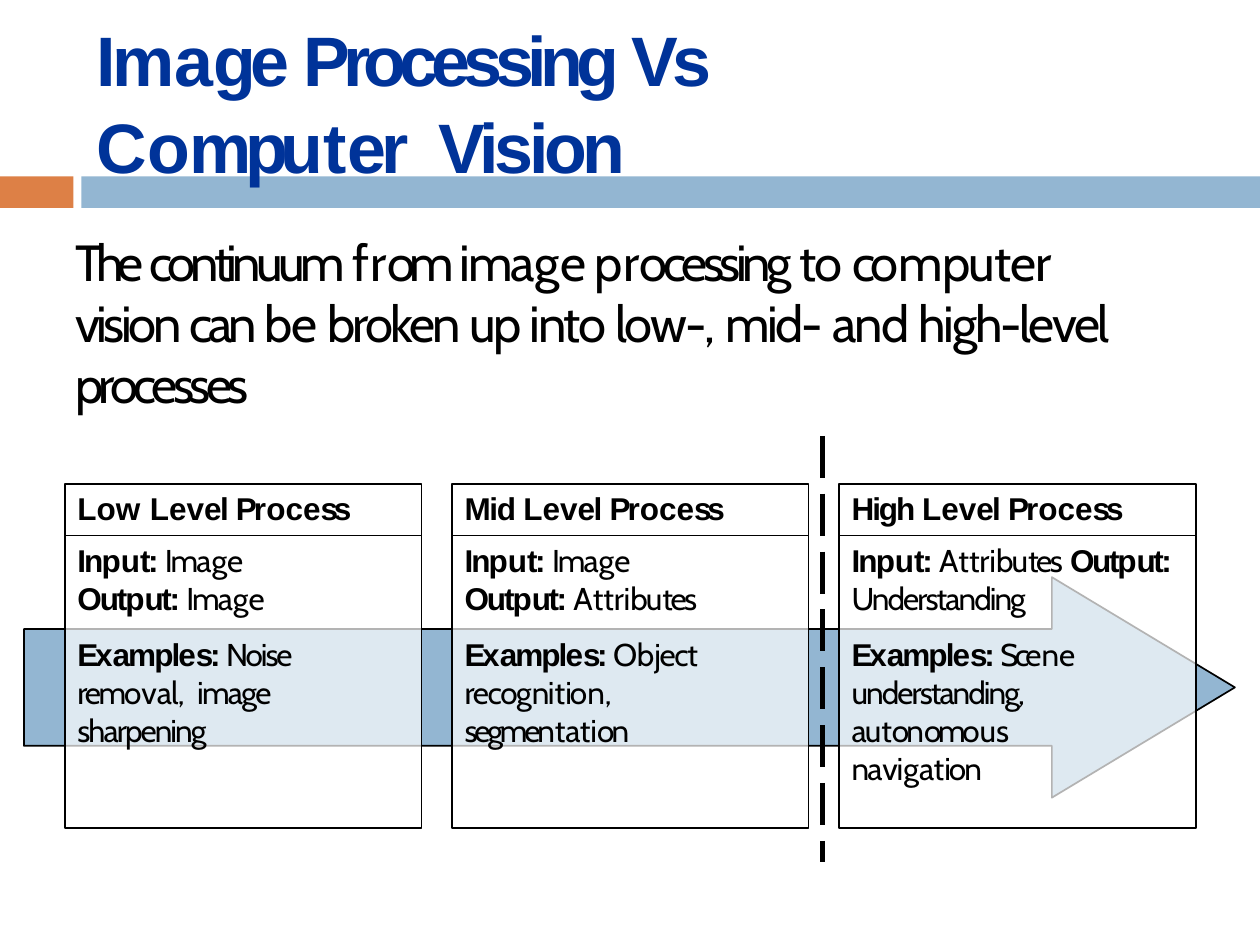
from dataclasses import dataclass

from lxml import etree
from pptx import Presentation
from pptx import util as u
from pptx.dml.color import RGBColor
from pptx.enum import dml, shapes, text
from pptx.oxml import ns

NAVY = RGBColor(0x00, 0x33, 0x99)
BLUE = RGBColor(0x93, 0xB6, 0xD2)
ORANGE = RGBColor(0xDD, 0x80, 0x46)
BLACK = RGBColor(0x00, 0x00, 0x00)
WHITE = RGBColor(0xFF, 0xFF, 0xFF)


@dataclass(frozen=True)
class Span:
    wording: str
    spacing: float
    bold: bool = False


@dataclass(frozen=True)
class Para:
    spans: list[Span]
    before: float = 0
    right: float = 0


@dataclass(frozen=True)
class Frame:
    left: float
    top: float
    width: float
    height: float


@dataclass(frozen=True)
class Process:
    heading: list[Span]
    details: list[Para]


def spans(*parts: tuple[str, float], bold: bool = False) -> list[Span]:
    return [Span(wording, spacing, bold) for wording, spacing in parts]


def lengths(frame: Frame) -> list[u.Length]:
    return [u.Pt(side) for side in (frame.left, frame.top, frame.width, frame.height)]


def fill_text(box, paras: list[Para], size: float, color: RGBColor, indent: float = 0.5) -> None:
    frame = box.text_frame
    frame.word_wrap = True
    frame.auto_size = text.MSO_AUTO_SIZE.NONE
    frame.vertical_anchor = text.MSO_ANCHOR.TOP
    frame.margin_left = u.Pt(indent)
    frame.margin_top = u.Pt(1.5)
    frame.margin_right = frame.margin_bottom = 0
    for index, item in enumerate(paras):
        para = frame.add_paragraph() if index else frame.paragraphs[0]
        para.alignment = text.PP_ALIGN.LEFT
        para.space_before = u.Pt(item.before)
        para._p.get_or_add_pPr().set("marR", str(u.Pt(item.right)))
        for part in item.spans:
            span = para.add_run()
            span.text = part.wording
            span.font.name = "Arial" if part.bold else "Cabin"
            span.font.size = u.Pt(size)
            span.font.bold = part.bold
            span.font.color.rgb = color
            span._r.get_or_add_rPr().set("spc", str(round(part.spacing * 100)))


def add_text(page, frame: Frame, paras: list[Para], size: float, indent: float = 0.5) -> None:
    box = page.shapes.add_textbox(*lengths(frame))
    fill_text(box, paras, size, BLACK, indent)


def add_block(page, kind, frame: Frame, fill: RGBColor | None = None, outlined: bool = False,
              opacity: int = 100):
    block = page.shapes.add_shape(kind, *lengths(frame))
    block.shadow.inherit = False
    if fill is None:
        block.fill.background()
    else:
        block.fill.solid()
        block.fill.fore_color.rgb = fill
        if opacity < 100:
            tint = block._element.spPr.find(".//" + ns.qn("a:srgbClr"))
            etree.SubElement(tint, ns.qn("a:alpha")).set("val", str(opacity * 1000))
    if outlined:
        block.line.color.rgb = BLACK
        block.line.width = u.Pt(0.96)
    else:
        block.line.fill.background()
    return block


def add_divider(page, x: float, top: float, bottom: float) -> None:
    line = page.shapes.add_connector(
        shapes.MSO_CONNECTOR.STRAIGHT, u.Pt(x), u.Pt(top), u.Pt(x), u.Pt(bottom))
    line.line.color.rgb = BLACK
    line.line.width = u.Pt(3)
    line.line.dash_style = dml.MSO_LINE.LONG_DASH
    etree.SubElement(line._element.spPr, ns.qn("a:effectLst"))


def add_process(page, left: float, process: Process) -> None:
    width, top, header, body = 203.7, 276.5, 29.5, 167
    rectangle = shapes.MSO_SHAPE.RECTANGLE
    add_block(page, rectangle, Frame(left, top, width, header), outlined=True)
    add_text(page, Frame(left, top + 1.5, width, 24), [Para(process.heading)], 18, 7.2)
    add_block(page, rectangle, Frame(left, top + header, width, body), WHITE, True, 70)
    add_text(page, Frame(left, top + header + 1.5, width, 121), process.details, 18, 7.2)


TITLE = spans(
    ("Im", -2), ("a", -1), ("ge ", -3.2), ("Processing ", -3.9), ("Vs ", -3.2),
    ("C", -4.8), ("o", -4), ("mpu", -3.9), ("t", -1.8), ("er", -2.5), (" ", 6),
    ("Vision", -2.5), bold=True)
INTRO = spans(
    ("The ", -3.4), ("continuum ", -2.6), ("f", 0.7), ("r", 0.3), ("om ", -3.2),
    ("ima", -1.4), ("g", -1.9), ("e ", -1.6), ("p", -0.1), ("r", -0.6),
    ("ocessing ", -2.5), ("to ", -0.9), ("co", -2.8), ("m", -4.5), ("pu", -1.5),
    ("ter ", -0.7), ("vision ", -2), ("can ", -2.3), ("be ", -0.9), ("broken ", -1.6),
    ("up ", -1.8), ("into ", -1.4), ("low-, ", -1.2), ("mid- ", -1.3), ("and ", -1.2),
    ("high-level ", -1.4), ("processes", -2.6))
LEVEL_PROCESS = spans(
    ("L", -2.5), ("e", -2.6), ("v", -0.6), ("el ", -0.9), ("Pr", -1.7), ("o", -1.9),
    ("c", -2.1), ("e", -2), ("ss", -2.4), bold=True)
INPUT = spans(("Inp", -1.1), ("u", -1.3), ("t: ", -1.4), bold=True)
OUTPUT = spans(("Outp", -1.2), ("ut: ", -1.4), bold=True)
EXAMPLES = spans(("Ex", -1.9), ("ample", -1.1), ("s: ", -1.9), bold=True)
IMAGE = spans(("Ima", -1.1), ("g", -1.4), ("e", -1))
ATTRIBUTES = spans(("A", -0.9), ("t", -0.3), ("tri", -0.1), ("bu", -1.1), ("tes", -1.4))
NOISE = spans(
    ("Noise ", -1.2), ("remo", -1.3), ("v", -1.5), ("al,", -0.4), (" ", 3),
    ("image ", -1), ("sharpening", -1.1))
OBJECTS = spans(
    ("Ob", -0.1), ("ject recog", -0.8), ("ni", -0.9), ("t", -0.6), ("io", -1.1),
    ("n", -1.4), (", ", -1.1), ("segmen", -1.8), ("tati", -0.1), ("on", -1.6))
SCENE = spans(
    ("Sce", -2.1), ("n", -2), ("e ", -0.7), ("understanding, au", -1.1), ("t", -0.1),
    ("on", -1.6), ("omo", -1.9), ("u", -1.6), ("s ", -3), ("na", -1.1), ("vi", -0.7),
    ("g", -0.5), ("at", -0.1), ("ion", -1.1))


def make_process(heading: list[Span], first: list[Span], second: list[Span],
                 examples: list[Span]) -> Process:
    return Process(heading + LEVEL_PROCESS,
                   [Para(first), Para(second), Para(EXAMPLES + examples, 10.8, 36)])


PROCESSES = [
    make_process(spans(("L", -2.4), ("o", -2.8), ("w ", 0.2), bold=True),
                 INPUT + IMAGE, OUTPUT + IMAGE, NOISE),
    make_process(spans(("Mid ", -0.8), bold=True),
                 INPUT + IMAGE, OUTPUT + ATTRIBUTES, OBJECTS),
    make_process(spans(("High ", -1.2), bold=True),
                 INPUT + ATTRIBUTES + spans((" ", -2))
                 + spans(("Outp", -1.3), ("ut:", -1.4), bold=True),
                 spans(("Understanding", -1.1)), SCENE),
]


def main() -> None:
    deck = Presentation()
    deck.slide_width, deck.slide_height = u.Pt(720), u.Pt(540)
    page = deck.slides.add_slide(deck.slide_layouts[5])

    rectangle = shapes.MSO_SHAPE.RECTANGLE
    add_block(page, rectangle, Frame(0, 100.8, 42, 18), ORANGE)
    add_block(page, rectangle, Frame(46.5, 100.8, 673.5, 18), BLUE)

    title = page.shapes.title
    title.left, title.top, title.width, title.height = lengths(Frame(54.7, 5.8, 519, 98))
    fill_text(title, [Para(TITLE)], 40, NAVY)
    title.text_frame.paragraphs[0].line_spacing = 1.04
    page.shapes._spTree.append(title._element)

    arrow = add_block(page, shapes.MSO_SHAPE.RIGHT_ARROW,
                      Frame(13.7, 329.8, 692, 126), BLUE, True)
    arrow.adjustments[0], arrow.adjustments[1] = 0.53, 0.83

    add_text(page, Frame(42.5, 130.3, 619, 106.5), [Para(INTRO)], 29)
    for index, process in enumerate(PROCESSES):
        add_process(page, 37.2 + index * 221.2, process)
    add_divider(page, 470.2, 249.1, 492.5)

    deck.save("out.pptx")


if __name__ == "__main__":
    main()
